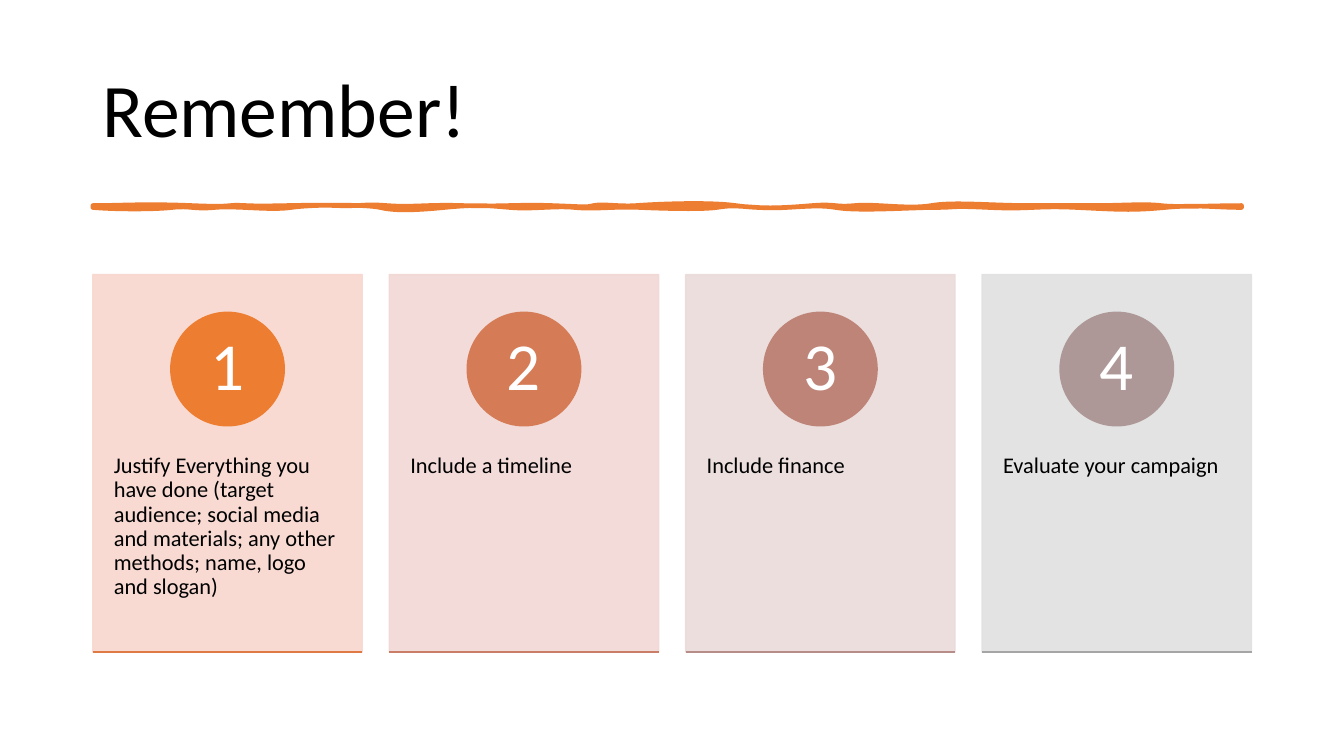
from dataclasses import dataclass

from lxml.etree import Element, SubElement
from pptx import Presentation
from pptx.dml.color import RGBColor
from pptx.enum.shapes import MSO_CONNECTOR as Connector, MSO_SHAPE as Shape
from pptx.enum.text import MSO_ANCHOR as Anchor, PP_ALIGN as Align
from pptx.oxml.ns import qn
from pptx.util import Cm, Pt


@dataclass(frozen=True)
class Theme:
    font: str = "Calibri"
    ink: str = "000000"
    white: str = "FFFFFF"
    accent: str = "ED7D31"
    title_size: float = 54
    number_size: float = 48
    body_size: float = 16
    outline: float = 1
    brush_width: float = 3.25
    card_opacity: int = 90


@dataclass(frozen=True)
class Card:
    text: str
    tint: str
    circle: str
    base: str


@dataclass(frozen=True)
class Wave:
    """One curve of a brush edge: x of both handles and the end, y as offsets, in cm."""
    x1: float
    dy1: float
    x2: float
    dy2: float
    end: float


THEME = Theme()

CARDS = [
    Card("Justify Everything you have done (target audience; social media and "
         "materials; any other methods; name, logo and slogan)",
         "F8D7CE", "ED7D31", "E07A44"),
    Card("Include a timeline", "F1D8D4", "D57B56", "CA7E67"),
    Card("Include finance", "E9DBDA", "BF8478", "B68D88"),
    Card("Evaluate your campaign", "E1E1E1", "AD9897", "A5A5A5"),
]
CARD_LEFT, CARD_TOP, CARD_WIDTH, CARD_HEIGHT, CARD_PITCH = 2.34, 6.92, 6.79, 9.51, 7.47
CIRCLE_TOP, CIRCLE_SIZE = 7.87, 2.86
BODY_TOP, BODY_HEIGHT = 10.54, 5.72

BRUSH_LEFT, BRUSH_RIGHT, BRUSH_TOP, BRUSH_BOTTOM = 2.34, 31.29, 5.18, 5.23
TOP_EDGE = [
    Wave(3.02, 0, 3.66, -.05, 4.83), Wave(6.02, .05, 5.59, -.03, 6.2),
    Wave(6.78, .03, 7.7, -.03, 8.41), Wave(9.14, .03, 9.12, -.05, 9.75),
    Wave(10.41, .05, 10.74, -.03, 11.68), Wave(12.65, .03, 13.06, -.03, 13.92),
    Wave(14.76, .03, 14.76, .05, 14.96), Wave(15.19, -.05, 15.62, .03, 16.03),
    Wave(16.43, -.03, 17.81, -.1, 18.54), Wave(19.28, .1, 19.84, .05, 20.47),
    Wave(21.11, -.05, 21.01, .05, 21.54), Wave(22.05, -.05, 22.89, .1, 23.47),
    Wave(24.05, -.1, 24.94, 0, 25.98), Wave(27, 0, 27, 0, 27.61),
    Wave(28.24, 0, 28.85, -.05, 29.26), Wave(29.67, .05, 30.56, 0, BRUSH_RIGHT),
]
BOTTOM_EDGE = [
    Wave(30.61, 0, 30.2, -.08, 29.36), Wave(28.5, .08, 28.19, .05, 27.13),
    Wave(26.09, -.05, 25.98, .05, 24.92), Wave(23.85, -.05, 24.18, 0, 23.57),
    Wave(22.96, 0, 21.62, .1, 21.06), Wave(20.47, -.1, 19.86, .05, 19.13),
    Wave(18.39, -.05, 18.42, -.05, 18.06), Wave(17.73, .05, 16.79, .03, 16.13),
    Wave(15.47, -.03, 14.99, .05, 14.48), Wave(14, -.05, 13.41, .05, 12.85),
    Wave(12.27, -.05, 12.01, -.08, 11.2), Wave(10.39, .08, 9.91, .08, 9.58),
    Wave(9.22, -.08, 7.87, -.08, 7.34), Wave(6.81, .08, 5.97, -.05, 5.41),
    Wave(4.88, .05, 4.8, -.05, 4.34), Wave(3.91, .05, 2.9, .05, BRUSH_LEFT),
]


def paint(shape, color: str, width: float = THEME.outline) -> None:
    """Give a shape one colour for both fill and outline, without shadow."""
    shape.shadow.inherit = False
    shape.fill.solid()
    shape.fill.fore_color.rgb = RGBColor.from_string(color)
    shape.line.color.rgb = RGBColor.from_string(color)
    shape.line.width = Pt(width)


def set_opacity(shape, percent: int) -> None:
    for color in shape.element.spPr.iter(qn("a:srgbClr")):
        SubElement(color, qn("a:alpha"), val=str(percent * 1000))


def write(shape, text: str, size: float, color: str, align: Align, anchor: Anchor,
          inset_x: float, inset_y: float) -> None:
    frame = shape.text_frame
    frame.word_wrap = True
    frame.vertical_anchor = anchor
    frame.margin_left = frame.margin_right = Cm(inset_x)
    frame.margin_top = frame.margin_bottom = Cm(inset_y)
    para = frame.paragraphs[0]
    para.alignment = align
    para.line_spacing = 0.9
    span = para.add_run()
    span.text = text
    span.font.name = THEME.font
    span.font.size = Pt(size)
    span.font.color.rgb = RGBColor.from_string(color)


def add_title(page, text: str) -> None:
    title = page.shapes.title
    title.left, title.top = Cm(2.33), Cm(1.01)
    title.width, title.height = Cm(29.21), Cm(3.68)
    write(title, text, THEME.title_size, THEME.ink, Align.LEFT, Anchor.MIDDLE, 0.25, 0.13)


def edge_points(level: float, waves: list[Wave]) -> list[tuple[int, int]]:
    """Both handles and the end of every curve along one brush edge."""
    return [(Cm(x), Cm(level + offset)) for wave in waves
            for x, offset in ((wave.x1, wave.dy1), (wave.x2, wave.dy2), (wave.end, 0))]


def bend(segments: list) -> None:
    """Turn every three straight segments into one cubic curve."""
    for first, second, third in zip(segments[::3], segments[1::3], segments[2::3]):
        curve = Element(qn("a:cubicBezTo"))
        first.addprevious(curve)
        for segment in (first, second, third):
            curve.append(segment[0])
            segment.getparent().remove(segment)


def add_brush_stroke(page) -> None:
    top = edge_points(BRUSH_TOP, TOP_EDGE)
    bottom = edge_points(BRUSH_BOTTOM, BOTTOM_EDGE)
    builder = page.shapes.build_freeform(Cm(BRUSH_LEFT), Cm(BRUSH_TOP))
    builder.add_line_segments([*top, (Cm(BRUSH_RIGHT), Cm(BRUSH_BOTTOM)), *bottom], close=True)
    stroke = builder.convert_to_shape()
    segments = list(stroke.element.spPr.iter(qn("a:lnTo")))
    bend(segments[:len(top)])
    bend(segments[len(top) + 1:])
    paint(stroke, THEME.accent, THEME.brush_width)


def add_card(page, index: int, card: Card) -> None:
    left = CARD_LEFT + index * CARD_PITCH
    panel = page.shapes.add_shape(Shape.RECTANGLE, Cm(left), Cm(CARD_TOP),
                                  Cm(CARD_WIDTH), Cm(CARD_HEIGHT))
    paint(panel, card.tint)
    set_opacity(panel, THEME.card_opacity)

    body = page.shapes.add_shape(Shape.RECTANGLE, Cm(left), Cm(BODY_TOP),
                                 Cm(CARD_WIDTH), Cm(BODY_HEIGHT))
    body.shadow.inherit = False
    body.fill.background()
    body.line.fill.background()
    write(body, card.text, THEME.body_size, THEME.ink, Align.LEFT, Anchor.TOP, 0.53, 0.91)

    circle = page.shapes.add_shape(Shape.OVAL, Cm(left + (CARD_WIDTH - CIRCLE_SIZE) / 2),
                                   Cm(CIRCLE_TOP), Cm(CIRCLE_SIZE), Cm(CIRCLE_SIZE))
    paint(circle, card.circle)
    write(circle, str(index + 1), THEME.number_size, THEME.white,
          Align.CENTER, Anchor.MIDDLE, 0.22, 0.03)

    bottom = Cm(CARD_TOP + CARD_HEIGHT)
    base = page.shapes.add_connector(Connector.STRAIGHT, Cm(left), bottom,
                                     Cm(left + CARD_WIDTH), bottom)
    base.line.color.rgb = RGBColor.from_string(card.base)
    base.line.width = Pt(THEME.outline)
    SubElement(base.element.spPr, qn("a:effectLst"))


def main() -> None:
    deck = Presentation()
    deck.slide_width, deck.slide_height = Cm(33.87), Cm(19.05)
    page = deck.slides.add_slide(deck.slide_layouts[5])
    add_title(page, "Remember!")
    add_brush_stroke(page)
    for index, card in enumerate(CARDS):
        add_card(page, index, card)
    deck.save("out.pptx")


if __name__ == "__main__":
    main()
